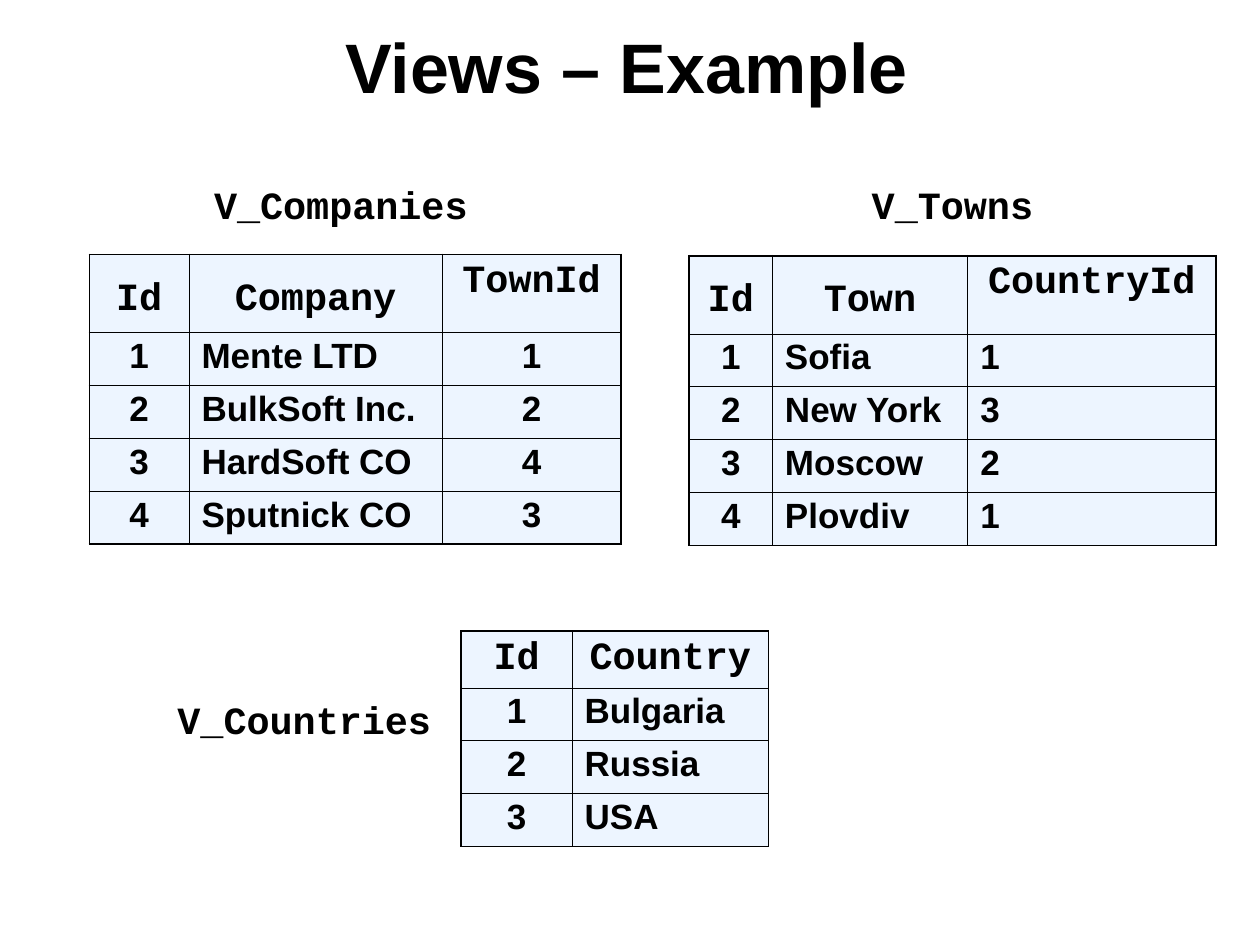
from dataclasses import dataclass

from lxml.etree import SubElement
from pptx import Presentation
from pptx.dml.color import RGBColor
from pptx.enum.text import MSO_ANCHOR, PP_ALIGN
from pptx.oxml.ns import qn
from pptx.util import Inches, Pt

INK = "000000"
CELL_FILL = "DDECFF"
THIN, THICK = 0.45, 1.08
ROW_HEIGHT = 0.42
CENTER, LEFT = PP_ALIGN.CENTER, PP_ALIGN.LEFT


@dataclass
class Label:
    text: str
    left: float
    top: float
    width: float


@dataclass
class View:
    label: Label
    left: float
    top: float
    header_height: float
    widths: list[float]
    header_spacings: list[float]
    alignments: list[PP_ALIGN]
    rows: list[list[str]]


VIEWS = [
    View(
        Label("V_Companies", 1.6, 1.43, 2.21),
        0.71, 2.02, 0.62, [0.79, 2.01, 1.42], [1.4, 1.4, 0.95], [CENTER, LEFT, CENTER],
        [
            ["Id", "Company", "TownId"],
            ["1", "Mente LTD", "1"],
            ["2", "BulkSoft Inc.", "2"],
            ["3", "HardSoft CO", "4"],
            ["4", "Sputnick CO", "3"],
        ],
    ),
    View(
        Label("V_Towns", 6.82, 1.43, 1.48),
        5.47, 2.03, 0.62, [0.66, 1.55, 1.97], [1.4, 1.4, 0.95], [CENTER, LEFT, LEFT],
        [
            ["Id", "Town", "CountryId"],
            ["1", "Sofia", "1"],
            ["2", "New York", "3"],
            ["3", "Moscow", "2"],
            ["4", "Plovdiv", "1"],
        ],
    ),
    View(
        Label("V_Countries", 1.31, 5.52, 2.21),
        3.66, 5.01, 0.45, [0.88, 1.56], [0.95, 0.95], [CENTER, LEFT],
        [
            ["Id", "Country"],
            ["1", "Bulgaria"],
            ["2", "Russia"],
            ["3", "USA"],
        ],
    ),
]


def color(value: str) -> RGBColor:
    return RGBColor.from_string(value)


def write(text_frame, text: str, size: float, font_name: str, spacing: float,
          alignment: PP_ALIGN = LEFT) -> None:
    text_frame.text = text
    paragraph = text_frame.paragraphs[0]
    paragraph.alignment = alignment
    paragraph.line_spacing = spacing
    paragraph.space_before = Pt(0)
    font = paragraph.font
    font.size = Pt(size)
    font.name = font_name
    font.bold = True
    font.color.rgb = color(INK)


def add_label(slide, label: Label) -> None:
    box = slide.shapes.add_textbox(
        Inches(label.left), Inches(label.top), Inches(label.width), Inches(0.43))
    box.text_frame.word_wrap = False
    write(box.text_frame, label.text, 22, "Courier New", 0.9)


def add_border(cell, side: str, width: float) -> None:
    properties = cell._tc.get_or_add_tcPr()
    line = SubElement(properties, qn(f"a:ln{side}"), w=str(Pt(width)))
    fill = SubElement(line, qn("a:solidFill"))
    SubElement(fill, qn("a:srgbClr"), val=INK)


def fill_cell(cell) -> None:
    cell.fill.solid()
    cell.fill.fore_color.rgb = color(CELL_FILL)
    fill_color = cell._tc.tcPr.find(qn("a:solidFill")).find(qn("a:srgbClr"))
    SubElement(fill_color, qn("a:alpha"), val="50000")


def add_view(slide, view: View) -> None:
    last_row, last_column = len(view.rows) - 1, len(view.widths) - 1
    height = view.header_height + ROW_HEIGHT * last_row
    table = slide.shapes.add_table(
        len(view.rows), len(view.widths), Inches(view.left), Inches(view.top),
        Inches(sum(view.widths)), Inches(height)).table
    table.first_row = False
    table.horz_banding = False
    for column, width in zip(table.columns, view.widths):
        column.width = Inches(width)
    for row_index, texts in enumerate(view.rows):
        is_header = row_index == 0
        table.rows[row_index].height = Inches(view.header_height if is_header else ROW_HEIGHT)
        for column_index, text in enumerate(texts):
            cell = table.cell(row_index, column_index)
            if is_header:
                write(cell.text_frame, text, 22, "Courier New",
                      view.header_spacings[column_index], CENTER)
            else:
                write(cell.text_frame, text, 20, "Arial", 0.95, view.alignments[column_index])
            outer_edges = {
                "L": column_index == 0,
                "R": column_index == last_column,
                "T": is_header,
                "B": row_index == last_row,
            }
            for side, is_outer in outer_edges.items():
                add_border(cell, side, THICK if is_outer else THIN)
            fill_cell(cell)


def add_title(slide, text: str) -> None:
    title = slide.shapes.title
    title.left, title.top = Inches(2.64), Inches(0.08)
    title.width, title.height = Inches(7.17), Inches(0.99)
    title.text_frame.vertical_anchor = MSO_ANCHOR.MIDDLE
    write(title.text_frame, text, 40, "Arial", 0.85)


def main() -> None:
    presentation = Presentation()
    presentation.slide_width, presentation.slide_height = Inches(10), Inches(7.5)
    slide = presentation.slides.add_slide(presentation.slide_layouts[5])
    add_title(slide, "Views – Example")
    for view in VIEWS:
        add_view(slide, view)
        add_label(slide, view.label)
    presentation.save("out.pptx")


if __name__ == "__main__":
    main()
